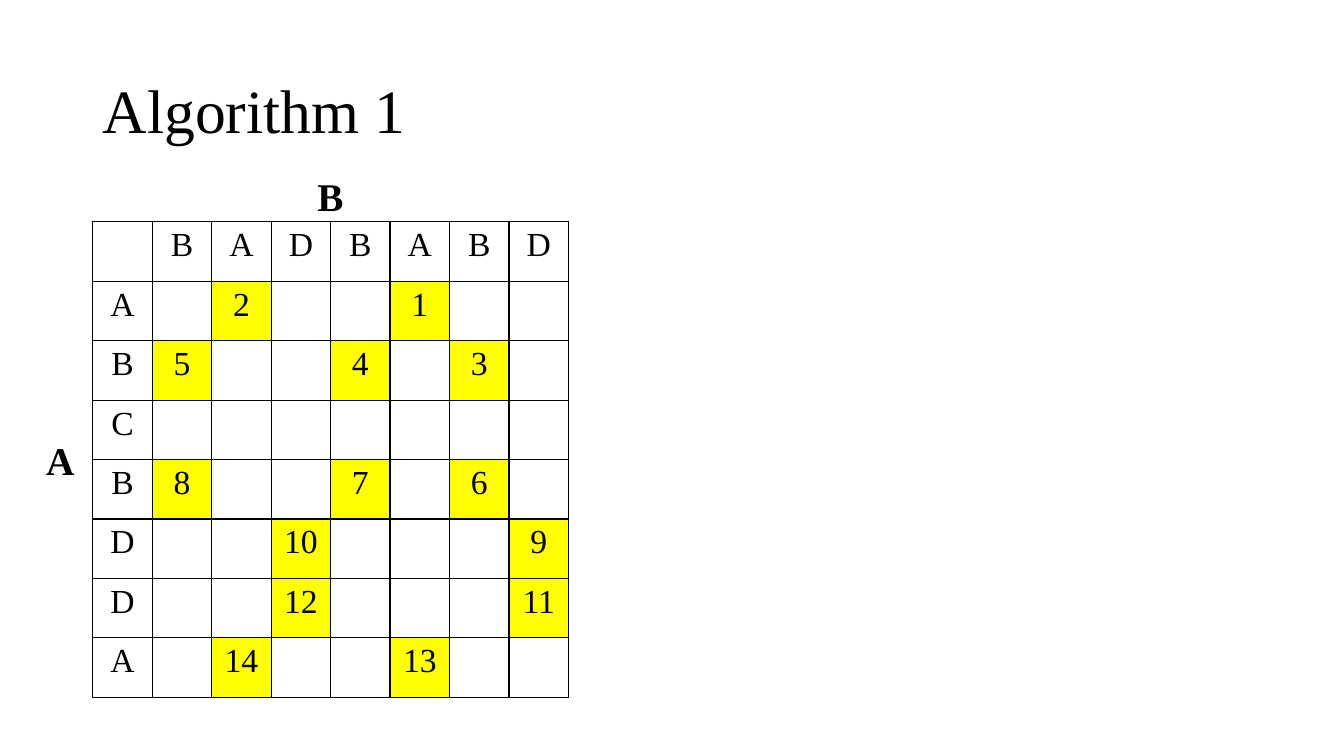
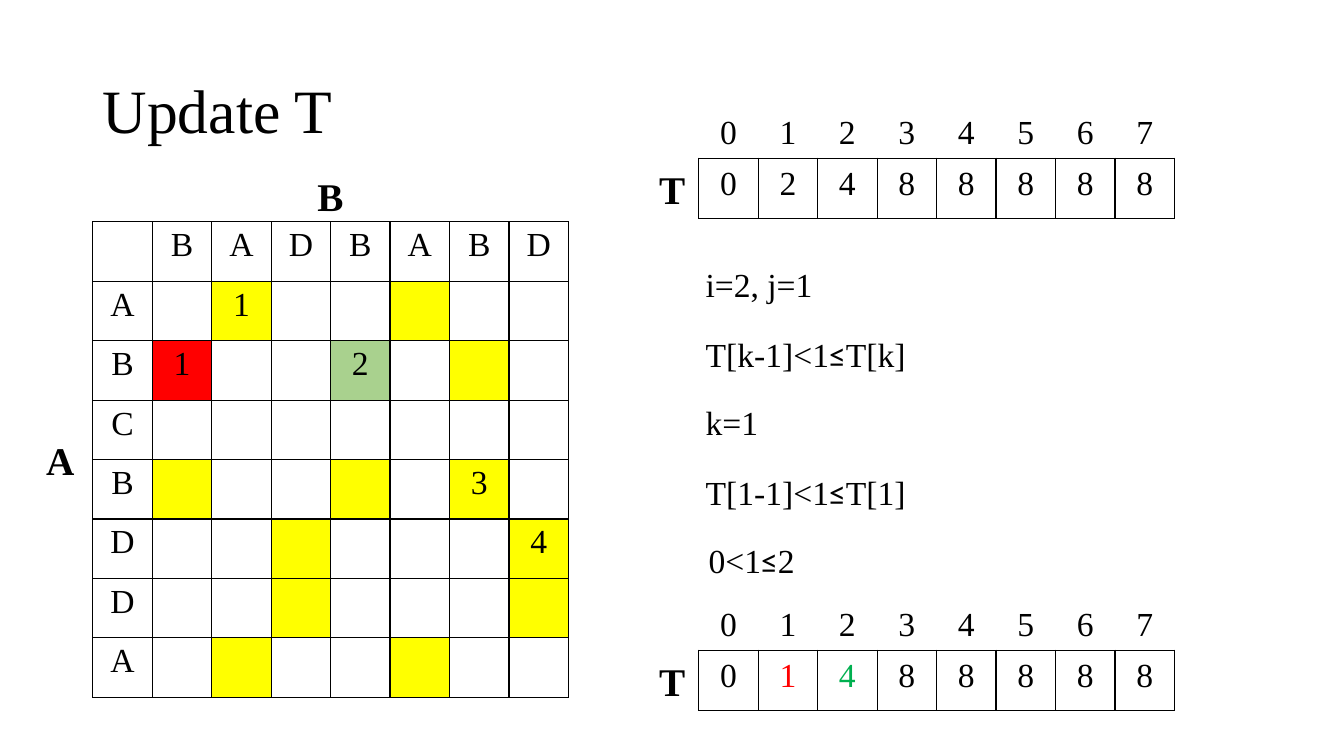
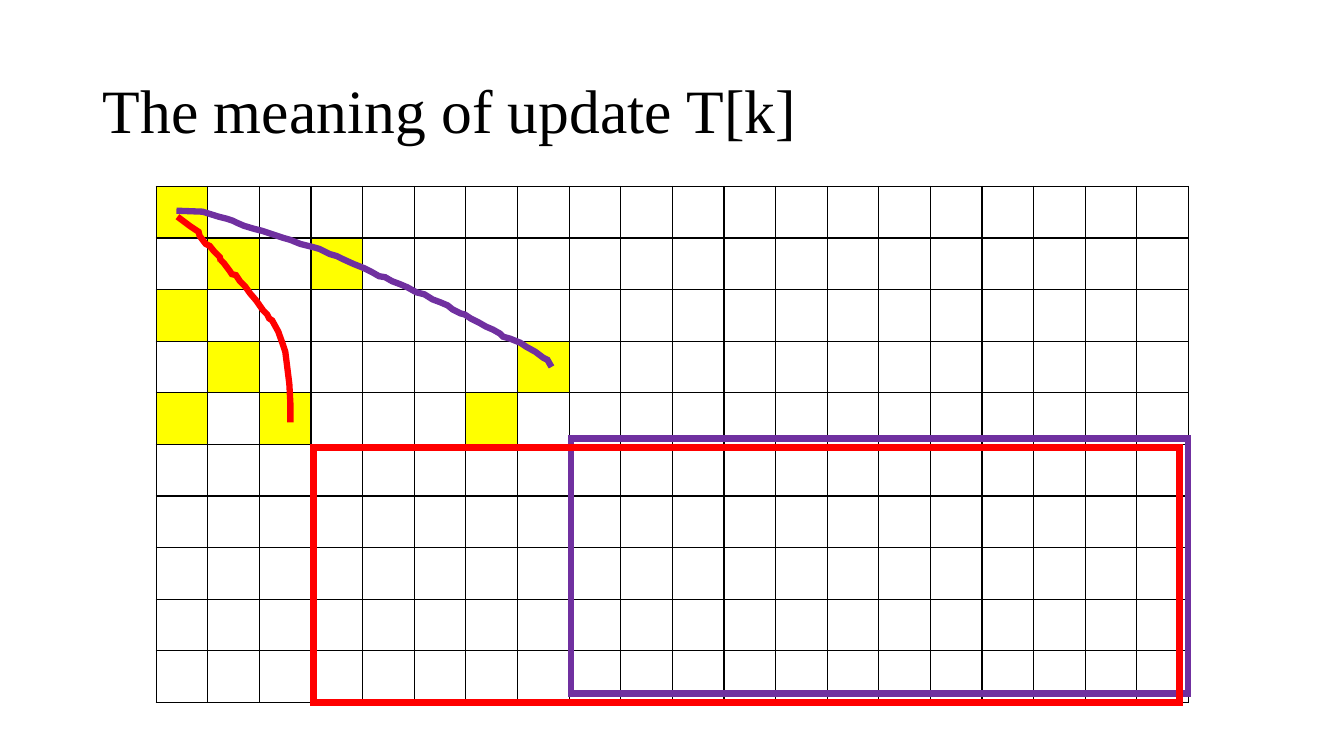
from dataclasses import dataclass, field
from itertools import count

from lxml.etree import SubElement
from pptx import Presentation
from pptx.dml.color import RGBColor
from pptx.enum.shapes import MSO_SHAPE
from pptx.enum.text import MSO_ANCHOR, MSO_AUTO_SIZE, PP_ALIGN
from pptx.oxml.ns import qn
from pptx.util import Emu, Pt

PX = 9144  # EMU per px, 100 px to the inch
COLORS = {
    "black": "000000",
    "match": "FFFF00",
    "red": "FF0000",
    "light_green": "A9D18E",
    "green": "00B050",
    "purple": "7030A0",
}
SERIF = "Times New Roman"
PLAIN_TABLE = "{2D5ABB26-0587-4C30-8999-92F81FD0307C}"
THICK = 4.5

WORD_A = "ABCBDDA"
WORD_B = "BADBABD"
MATCHES = [
    (row, col)
    for row, a in enumerate(WORD_A, 1)
    for col, b in reversed(list(enumerate(WORD_B, 1)))
    if a == b
]

LONG_PATH = [
    (175, 209), (201, 210), (217, 215), (225, 217), (231, 219), (235, 221),
    (242, 224), (252, 227), (260, 229), (263, 230), (272, 233), (281, 236),
    (288, 238), (298, 242), (310, 245), (317, 247), (327, 252), (334, 254),
    (340, 257), (351, 262), (361, 266), (369, 270), (376, 274), (382, 275),
    (389, 279), (397, 282), (404, 285), (413, 290), (421, 292), (429, 297),
    (437, 300), (444, 303), (449, 307), (457, 311), (461, 312), (467, 316),
    (475, 320), (482, 324), (489, 327), (496, 331), (499, 334), (506, 336),
    (516, 340), (522, 344), (531, 349), (539, 355), (543, 357), (547, 364),
]
SHORT_PATH = [
    (176, 215), (188, 224), (197, 230), (198, 234), (204, 242), (208, 244),
    (212, 249), (218, 255), (219, 259), (219, 258), (222, 261), (228, 269),
    (230, 272), (234, 273), (238, 279), (243, 284), (248, 291), (254, 298),
    (261, 308), (265, 312), (267, 316), (270, 318), (276, 329), (281, 343),
    (283, 349), (284, 357), (287, 381), (288, 400), (288, 419),
]


@dataclass(frozen=True)
class Box:
    left: int
    top: int
    width: int
    height: int

    def emu(self) -> list[Emu]:
        return [Emu(v * PX) for v in (self.left, self.top, self.width, self.height)]


@dataclass(frozen=True)
class Run:
    text: str
    size: int = 24
    color: str = "black"
    bold: bool = False
    font: str = SERIF


@dataclass(frozen=True)
class Grid:
    """Equal cells; texts and fills are keyed by (row, column)."""
    box: Box
    rows: int
    cols: int
    texts: dict[tuple[int, int], Run] = field(default_factory=dict)
    fills: dict[tuple[int, int], str] = field(default_factory=dict)
    inset_x: int = 10
    inset_y: int = 5
    ruled: bool = True


def rgb(color: str) -> RGBColor:
    return RGBColor.from_string(COLORS[color])


def add_run(paragraph, run: Run) -> None:
    part = paragraph.add_run()
    part.text = run.text
    part.font.size = Pt(run.size)
    part.font.name = run.font
    part.font.bold = run.bold
    part.font.color.rgb = rgb(run.color)


def add_label(slide, box: Box, *runs: Run) -> None:
    frame = slide.shapes.add_textbox(*box.emu()).text_frame
    frame.word_wrap = False
    frame.auto_size = MSO_AUTO_SIZE.SHAPE_TO_FIT_TEXT
    for run in runs:
        add_run(frame.paragraphs[0], run)


def add_title(slide, text: str) -> None:
    frame = slide.shapes.add_textbox(*Box(92, 40, 1150, 145).emu()).text_frame
    frame.word_wrap = True
    frame.vertical_anchor = MSO_ANCHOR.MIDDLE
    frame.paragraphs[0].line_spacing = 0.9
    add_run(frame.paragraphs[0], Run(text, 44))


def rule_cell(cell) -> None:
    """Draw a thin black border on all four sides."""
    properties = cell._tc.get_or_add_tcPr()
    for side in ("a:lnL", "a:lnR", "a:lnT", "a:lnB"):
        line = SubElement(properties, qn(side), w=str(Pt(1)))
        fill = SubElement(line, qn("a:solidFill"))
        SubElement(fill, qn("a:srgbClr"), val=COLORS["black"])


def add_grid(slide, grid: Grid) -> None:
    frame = slide.shapes.add_table(grid.rows, grid.cols, *grid.box.emu())
    table = frame.table
    table.first_row = table.horz_banding = False
    for style in frame.element.iter(qn("a:tableStyleId")):
        style.text = PLAIN_TABLE
    for row in range(grid.rows):
        for col in range(grid.cols):
            cell = table.cell(row, col)
            cell.margin_left = cell.margin_right = Emu(grid.inset_x * PX)
            cell.margin_top = cell.margin_bottom = Emu(grid.inset_y * PX)
            if grid.ruled:
                rule_cell(cell)
            if (row, col) in grid.fills:
                cell.fill.solid()
                cell.fill.fore_color.rgb = rgb(grid.fills[row, col])
            else:
                cell.fill.background()
            if (row, col) in grid.texts:
                paragraph = cell.text_frame.paragraphs[0]
                paragraph.alignment = PP_ALIGN.CENTER
                add_run(paragraph, grid.texts[row, col])


def add_match_grid(slide, ranks: dict[tuple[int, int], str],
                   highlights: dict[tuple[int, int], str]) -> None:
    """Word A down, word B across, with every equal pair of letters marked."""
    texts = {(0, col): Run(b) for col, b in enumerate(WORD_B, 1)}
    texts |= {(row, 0): Run(a) for row, a in enumerate(WORD_A, 1)}
    texts |= {place: Run(rank) for place, rank in ranks.items()}
    fills = {place: "match" for place in MATCHES} | highlights
    add_grid(slide, Grid(Box(92, 220, 472, 472), len(WORD_A) + 1,
                         len(WORD_B) + 1, texts, fills))
    add_label(slide, Box(36, 428, 49, 57), Run("A", 28, bold=True))
    add_label(slide, Box(305, 166, 46, 57), Run("B", 28, bold=True))


def add_threshold_array(slide, top: int, values: str, colors: dict[int, str]) -> None:
    """Array T with its indexes above."""
    indexes = {(0, i): Run(str(i)) for i in range(len(values))}
    entries = {(0, i): Run(value, color=colors.get(i, "black"))
               for i, value in enumerate(values)}
    for row_top, texts, ruled in ((top, indexes, False), (top + 50, entries, True)):
        add_grid(slide, Grid(Box(693, row_top, 472, 60), 1, len(values), texts,
                             inset_x=15, inset_y=7, ruled=ruled))
    add_label(slide, Box(644, top + 52, 46, 57), Run("T", 28, bold=True))


def style_outline(shape, color: str) -> None:
    shape.shadow.inherit = False
    shape.fill.background()
    shape.line.color.rgb = rgb(color)
    shape.line.width = Pt(THICK)
    SubElement(shape.line._get_or_add_ln(), qn("a:miter"), lim="800000")


def add_region(slide, box: Box, color: str) -> None:
    style_outline(slide.shapes.add_shape(MSO_SHAPE.RECTANGLE, *box.emu()), color)


def add_chain(slide, points: list[tuple[int, int]], color: str) -> None:
    """Hand-drawn line through matching cells."""
    builder = slide.shapes.build_freeform(*points[0], scale=PX)
    builder.add_line_segments(points[1:], close=False)
    style_outline(builder.convert_to_shape(), color)


def build_algorithm(slide) -> None:
    add_title(slide, "Algorithm 1")
    add_match_grid(slide, {place: str(n) for place, n in zip(MATCHES, count(1))}, {})


def build_update(slide) -> None:
    add_title(slide, "Update T")
    ranks = {(1, 2): "1", (2, 1): "1", (2, 4): "2", (4, 6): "3", (5, 7): "4"}
    add_match_grid(slide, ranks, {(2, 1): "red", (2, 4): "light_green"})
    add_threshold_array(slide, 107, "02488888", {})
    at_most = Run("≤", font="Calibri")
    steps = [
        (Box(690, 257, 127, 50), [Run("i=2, j=1")]),
        (Box(690, 326, 220, 50), [Run("T[k-1]<1"), at_most, Run("T[k]")]),
        (Box(690, 394, 73, 50), [Run("k=1")]),
        (Box(690, 463, 220, 50), [Run("T[1-1]<1"), at_most, Run("T[1]")]),
        (Box(693, 531, 106, 50), [Run("0<1"), at_most, Run("2")]),
    ]
    for box, runs in steps:
        add_label(slide, box, *runs)
    add_threshold_array(slide, 595, "01488888", {1: "red", 2: "green"})


def build_meaning(slide) -> None:
    add_title(slide, "The meaning of update T[k]")
    marked = [(0, 0), (1, 1), (1, 3), (2, 0), (3, 1), (3, 7), (4, 0), (4, 2), (4, 6)]
    add_grid(slide, Grid(Box(155, 185, 1024, 512), 10, 20,
                         fills={place: "match" for place in marked}))
    add_chain(slide, LONG_PATH, "purple")
    add_region(slide, Box(566, 435, 612, 253), "purple")
    add_region(slide, Box(311, 444, 859, 253), "red")
    add_chain(slide, SHORT_PATH, "red")


def main() -> None:
    deck = Presentation()
    deck.slide_width, deck.slide_height = Emu(1333 * PX), Emu(750 * PX)
    blank = deck.slide_layouts[6]
    for build in (build_algorithm, build_update, build_meaning):
        build(deck.slides.add_slide(blank))
    deck.save("out.pptx")


if __name__ == "__main__":
    main()
